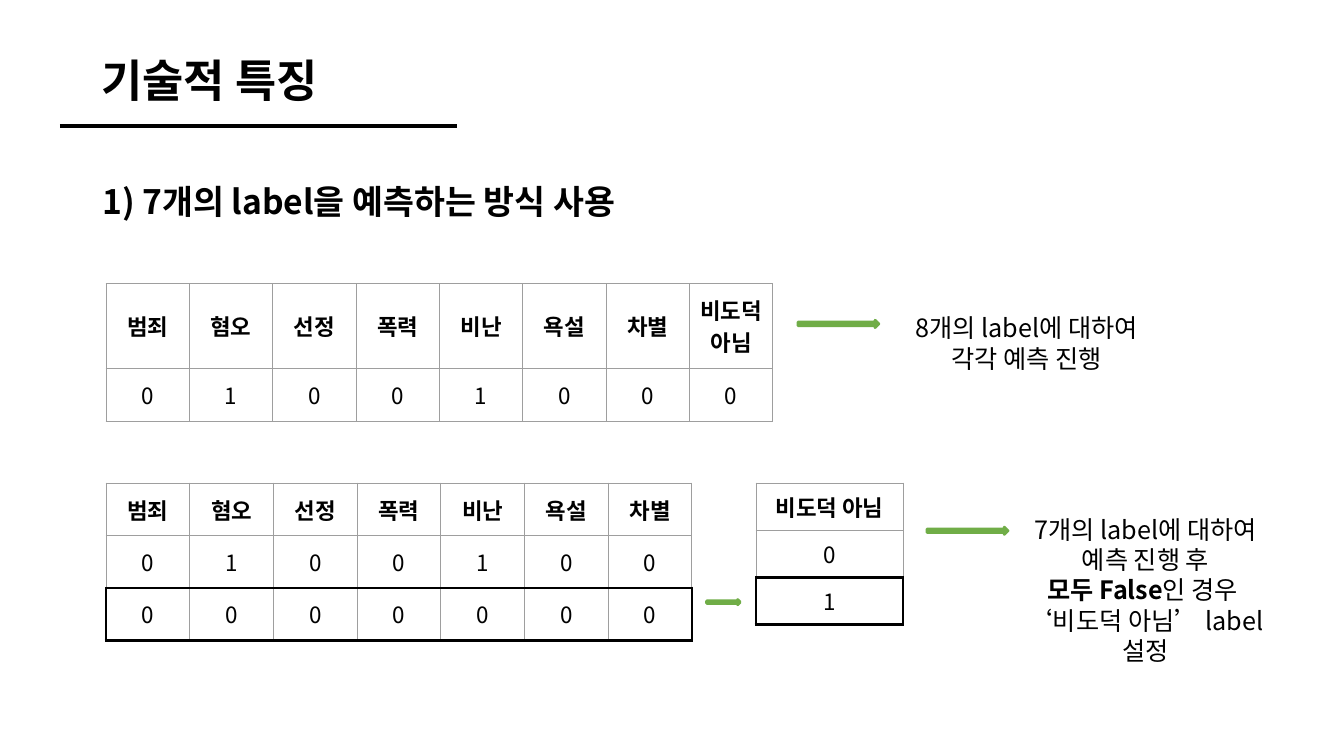
import pptx
import pptx.util
import pptx.dml.color
import pptx.enum.shapes
import pptx.enum.text
import pptx.oxml
import pptx.oxml.ns

FONT = "Noto Sans CJK KR"
BLACK, GRAY, GREEN = "000000", "9E9E9E", "70AD47"
PX = 9525
LEFT = pptx.enum.text.PP_ALIGN.LEFT
CENTER = pptx.enum.text.PP_ALIGN.CENTER
MIDDLE = pptx.enum.text.MSO_ANCHOR.MIDDLE

TITLE = "기술적 특징"
TITLE_BOX = (33, 27, 333, 104)
TITLE_RULE = (57, 120, 435, 120)

LABELS = ["범죄", "혐오", "선정", "폭력", "비난", "욕설", "차별"]
NONE_LABEL = "비도덕 아님"
SAMPLE = list("0100100")

TABLES = [
    {"place": (101, 270, 635), "heights": [81, 50], "framed_row": None,
     "rows": [LABELS + [NONE_LABEL], SAMPLE + ["0"]]},
    {"place": (101, 460, 558), "heights": [50, 50, 50], "framed_row": 2,
     "rows": [LABELS, SAMPLE, ["0"] * len(LABELS)]},
    {"place": (720, 460, 140), "heights": [45, 45, 45], "framed_row": 2,
     "rows": [[NONE_LABEL], ["0"], ["1"]]},
]

ARROWS = [(673, 571, 32, 5), (760, 305, 77, 7), (883, 502, 77, 7)]

TEXTS = [
    {"place": (88, 168, 519, 48), "size": 24, "align": LEFT,
     "lines": [[("1) 7개의 label을 예측하는 방식 사용", True)]]},
    {"place": (860, 293, 236, 68), "size": 18, "align": CENTER,
     "lines": [[("8개의 label에 대하여", False)],
               [("각각 예측 진행", False)]]},
    {"place": (961, 485, 260, 126), "size": 18, "align": CENTER,
     "lines": [[("7개의 label에 대하여", False)],
               [("예측 진행 후", False)],
               [("모두 False", True), ("인 경우 ", False)],
               [("‘비도덕 아님’ label 설정", False)]]},
]


def px(*lengths):
    return [pptx.util.Emu(length * PX) for length in lengths]


def color(code):
    return pptx.dml.color.RGBColor.from_string(code)


def element(tag, **attributes):
    node = pptx.oxml.parse_xml(f"<a:{tag} {pptx.oxml.ns.nsdecls('a')}/>")
    for name, value in attributes.items():
        node.set(name, str(value))
    return node


def style_span(span, size, bold):
    span.font.size = pptx.util.Pt(size)
    span.font.bold = bold
    span.font.color.rgb = color(BLACK)
    span.font.name = FONT
    span.font._element.append(element("ea", typeface=FONT))


def style_line(line, code, points):
    line.color.rgb = color(code)
    line.width = pptx.util.Pt(points)


def add_border(cell, sides):
    properties = cell._tc.get_or_add_tcPr()
    for index, (side, heavy) in enumerate(sides):
        code, points = (BLACK, 2.25) if heavy else (GRAY, 0.75)
        line = element("ln" + side, w=pptx.util.Pt(points))
        fill = element("solidFill")
        fill.append(element("srgbClr", val=code))
        line.append(fill)
        properties.insert(index, line)


def add_label_table(page, place, heights, framed_row, rows):
    left, top, width = place
    columns = len(rows[0])
    frame = page.shapes.add_table(
        len(rows), columns, *px(left, top, width, sum(heights)))
    table = frame.table
    table.first_row = table.horz_banding = False
    for row, height in zip(table.rows, heights):
        row.height = px(height)[0]
    for r, values in enumerate(rows):
        for c, value in enumerate(values):
            cell = table.cell(r, c)
            cell.text = value
            cell.fill.background()
            cell.vertical_anchor = MIDDLE
            cell.margin_left, cell.margin_right = px(9, 9)
            cell.margin_top, cell.margin_bottom = px(5, 5)
            para = cell.text_frame.paragraphs[0]
            para.alignment = CENTER
            style_span(para.runs[0], 16, r == 0)
            framed = r == framed_row
            add_border(cell, [
                ("L", framed and c == 0),
                ("R", framed and c == columns - 1),
                ("T", framed),
                ("B", framed or r + 1 == framed_row),
            ])


def add_arrow(page, place):
    arrow = page.shapes.add_shape(
        pptx.enum.shapes.MSO_SHAPE.RIGHT_ARROW, *px(*place))
    arrow.shadow.inherit = False
    arrow.fill.solid()
    arrow.fill.fore_color.rgb = color(GREEN)
    style_line(arrow.line, GREEN, 2)


def add_text(page, place, size, align, lines):
    frame = page.shapes.add_textbox(*px(*place)).text_frame
    frame.word_wrap = True
    frame.text = "\n".join(line[0][0] for line in lines)
    for para, line in zip(frame.paragraphs, lines):
        para.alignment = align
        for words, bold in line[1:]:
            para.add_run().text = words
        for span, (words, bold) in zip(para.runs, line):
            style_span(span, size, bold)


def add_title(page):
    title = page.shapes.title
    title.left, title.top, title.width, title.height = px(*TITLE_BOX)
    frame = title.text_frame
    frame.text = TITLE
    frame.auto_size = pptx.enum.text.MSO_AUTO_SIZE.NONE
    frame.vertical_anchor = MIDDLE
    para = frame.paragraphs[0]
    para.alignment = CENTER
    para.line_spacing = 0.9
    style_span(para.runs[0], 32, True)
    rule = page.shapes.add_connector(
        pptx.enum.shapes.MSO_CONNECTOR.STRAIGHT, *px(*TITLE_RULE))
    style_line(rule.line, BLACK, 3.25)
    rule._element.spPr.append(element("effectLst"))


def main():
    deck = pptx.Presentation()
    deck.slide_width, deck.slide_height = px(1280, 720)
    page = deck.slides.add_slide(deck.slide_layouts[5])
    add_title(page)
    for table in TABLES:
        add_label_table(page, **table)
    for place in ARROWS:
        add_arrow(page, place)
    for text in TEXTS:
        add_text(page, **text)
    deck.save("out.pptx")


if __name__ == "__main__":
    main()
